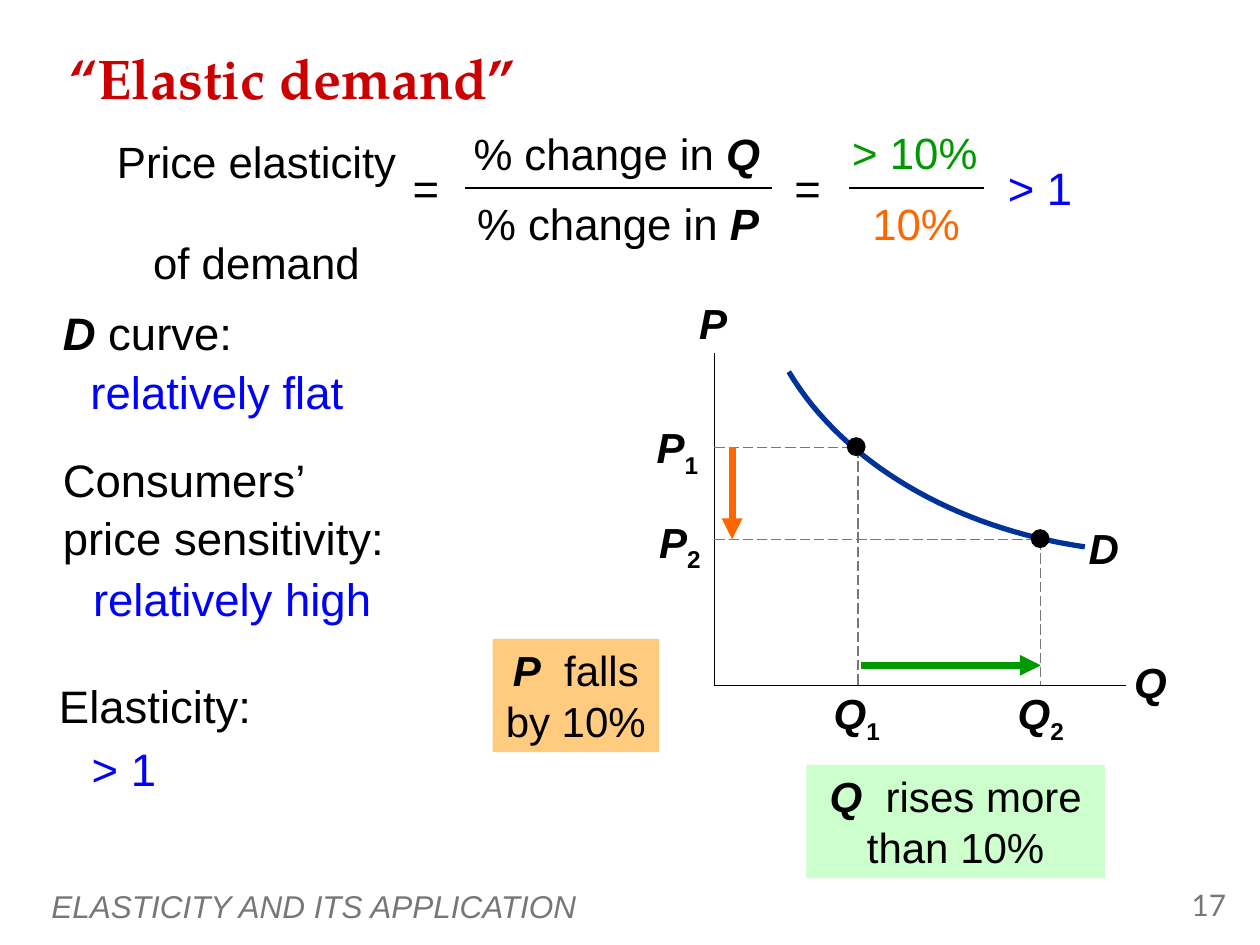
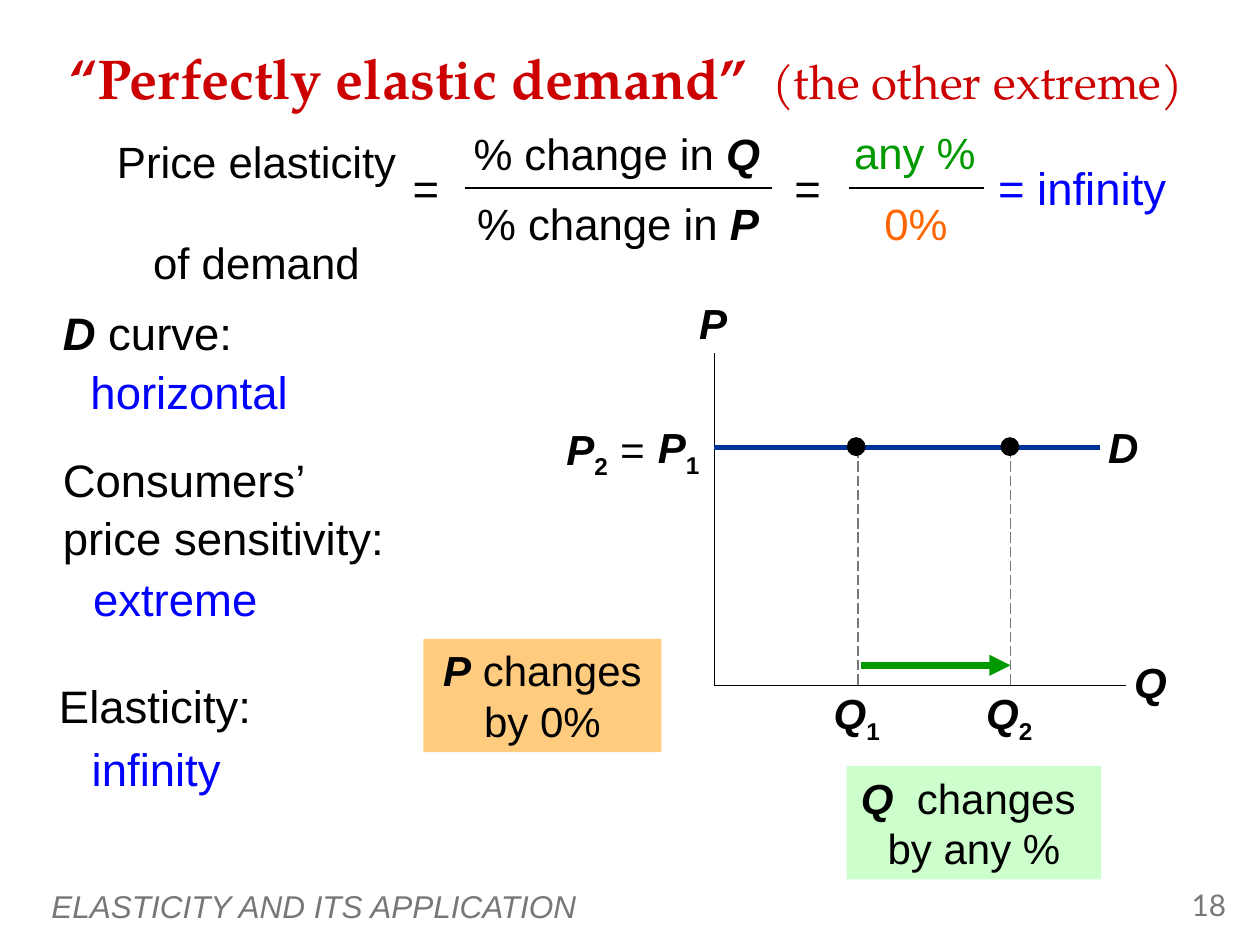
"""Builds two slides on elastic and perfectly elastic demand."""
from lxml import etree
from pptx import Presentation
from pptx.dml.color import RGBColor
from pptx.enum.dml import MSO_LINE
from pptx.enum.shapes import MSO_CONNECTOR, MSO_SHAPE
from pptx.enum.text import MSO_ANCHOR, MSO_AUTO_SIZE, PP_ALIGN
from pptx.oxml.ns import qn
from pptx.util import Inches, Pt

COLORS = {
    "ink": "000000", "title": "CC0000", "muted": "777777", "demand": "003399",
    "price": "FF6600", "quantity": "009900", "answer": "0000FF",
    "price_note": "FF9900", "quantity_note": "CCFFCC",
}
LEFT, CENTER, RIGHT = PP_ALIGN.LEFT, PP_ALIGN.CENTER, PP_ALIGN.RIGHT
WIDE_GAP = "670"


def add_text(slide, box, runs, size, color="ink", align=CENTER, spacing=None,
             font="Arial", anchor=MSO_ANCHOR.TOP, holder=None):
    """Write (text, style, size) runs; styles: b bold, i italic, _ subscript, w wide gap."""
    holder = holder or slide.shapes.add_textbox(*map(Inches, box))
    frame = holder.text_frame
    frame.word_wrap = True
    frame.auto_size = MSO_AUTO_SIZE.NONE
    frame.vertical_anchor = anchor
    paragraph = frame.paragraphs[0]
    paragraph.alignment = align
    paragraph.line_spacing = spacing
    for text, style, *own_size in runs:
        for index, line in enumerate(text.split("\n")):
            if index:
                paragraph.add_line_break()
            run = paragraph.add_run()
            run.text = line
            run.font.name = font
            run.font.size = Pt(own_size[0] if own_size else size)
            run.font.bold = "b" in style
            run.font.italic = "i" in style
            run.font.color.rgb = RGBColor.from_string(COLORS[color])
            if "_" in style:
                run._r.get_or_add_rPr().set("baseline", "-25000")
            if "w" in style:
                run._r.get_or_add_rPr().set("spc", WIDE_GAP)
    return frame


def add_line(slide, start, end, color="ink", width=1, dashed=False, arrow=False):
    """Draw a straight line between two points."""
    line = slide.shapes.add_connector(MSO_CONNECTOR.STRAIGHT, *map(Inches, start + end))
    line.line.color.rgb = RGBColor.from_string(COLORS[color])
    line.line.width = Pt(width)
    if dashed:
        line.line.dash_style = MSO_LINE.LONG_DASH
    if arrow:
        etree.SubElement(line.line._get_or_add_ln(), qn("a:tailEnd"), type="triangle")
    etree.SubElement(line._element.spPr, qn("a:effectLst"))


P, Q, D = ("P", "bi"), ("Q", "bi"), ("D", "bi")
ONE, TWO = ("1", "b_"), ("2", "b_")
AXIS_X, AXIS_Y = 5.67, 5.44
Q1_X, P1_Y, P2_Y = 6.81, 3.55, 4.28

lessons = [
    {
        "number": "17",
        "title": [("“Elastic demand”", "b")],
        "ratio": ("> 10%", "10%"),
        "result": ("> 1", (7.88, 1.22, 0.75, 0.53)),
        "answers": ("relatively flat", "relatively high", "> 1"),
        "price_note": ((3.91, 5.07, 1.32, 0.9), [P, (" ", "w"), ("falls by 10%", "")]),
        "quantity_note": ((6.4, 6.07, 2.37, 0.9), [Q, (" ", "w"), ("rises more than 10%", "")]),
        "labels": [
            ((8.43, 4.1, 0.66, 0.5), [D], CENTER),
            ((4.99, 3.3, 0.65, 0.5), [P, ONE], RIGHT),
            ((4.99, 4.05, 0.67, 0.5), [P, TWO], RIGHT),
            ((7.96, 5.41, 0.6, 0.5), [Q, TWO], CENTER),
        ],
        "curve": [(8.61, 4.34), (7.57, 4.19), (6.69, 3.67), (6.26, 2.95)],
        "second_point": (8.26, P2_Y),
    },
    {
        "number": "18",
        "title": [("“Perfectly elastic demand”", "b"), (" ", "bw", 27),
                  ("(the other extreme)", "", 27)],
        "ratio": ("any %", "0%"),
        "result": ("= infinity", (7.78, 1.22, 1.62, 0.53)),
        "answers": ("horizontal", "extreme", "infinity"),
        "price_note": ((3.36, 5.07, 1.89, 0.9), [P, (" changes by 0%", "")]),
        "quantity_note": ((6.72, 6.08, 2.02, 0.9),
                          [Q, (" ", "w"), ("changes \nby any %", "")]),
        "labels": [
            ((8.59, 3.3, 0.65, 0.5), [D], CENTER),
            ((4.94, 3.3, 0.71, 0.5), [P, ONE], RIGHT),
            ((4.32, 3.31, 0.89, 0.5), [P, TWO, (" =", "i")], RIGHT),
            ((7.69, 5.41, 0.64, 0.5), [Q, TWO], CENTER),
        ],
        "curve": None,
        "second_point": (8.02, P1_Y),
    },
]
shared_labels = [
    ((5.28, 2.31, 0.76, 0.5), [P]),
    ((8.75, 5.16, 0.76, 0.5), [Q]),
    ((6.48, 5.41, 0.64, 0.5), [Q, ONE]),
]
formula = [
    ((3.13, 1.22, 0.5, 0.53), [("=", "")], 26),
    ((6.16, 1.22, 0.5, 0.53), [("=", "")], 26),
    ((3.59, 0.96, 2.61, 0.52), [("% change in ", ""), Q], 25),
    ((3.6, 1.51, 2.61, 0.52), [("% change in ", ""), P], 25),
]
questions = [
    ((0.4, 2.35, 1.63, 0.58), [D, (" curve:", "")]),
    ((0.4, 3.52, 3.71, 1.06), [("Consumers’\nprice sensitivity:", "")]),
    ((0.37, 5.31, 1.77, 0.59), [("Elasticity:", "")]),
]
answer_boxes = [(0.62, 2.82, 3.17, 0.58), (0.64, 4.46, 2.87, 0.54), (0.63, 5.81, 2, 0.59)]

deck = Presentation()
deck.slide_width, deck.slide_height = Inches(10), Inches(7.5)

for lesson in lessons:
    slide = deck.slides.add_slide(deck.slide_layouts[5])
    title = slide.shapes.title
    title.left, title.top, title.width, title.height = map(Inches, (0.45, 0.27, 9.28, 0.68))
    add_text(slide, None, lesson["title"], 32, "title", LEFT, font="TeX Gyre Pagella",
             anchor=MSO_ANCHOR.MIDDLE, holder=title)
    add_text(slide, (0.31, 6.99, 8.02, 0.4), [("ELASTICITY AND ITS APPLICATION", "i")],
             18, "muted", LEFT, anchor=MSO_ANCHOR.MIDDLE)
    add_text(slide, (9.08, 6.99, 0.75, 0.4), [(lesson["number"], "")],
             17, "muted", RIGHT, font="Lato")

    add_line(slide, (AXIS_X, 2.8), (AXIS_X, AXIS_Y))
    add_line(slide, (AXIS_X, AXIS_Y), (8.94, AXIS_Y))
    q2_x, second_y = lesson["second_point"]
    for x, y in ((Q1_X, P1_Y), (q2_x, second_y)):
        add_line(slide, (x, y), (x, AXIS_Y), "muted", 0.75, dashed=True)
        if lesson["curve"]:
            add_line(slide, (AXIS_X, y), (x, y), "muted", 0.75, dashed=True)

    if lesson["curve"]:
        points = []
        for step in range(33):
            t = step / 32
            weights = ((1 - t) ** 3, 3 * t * (1 - t) ** 2, 3 * t ** 2 * (1 - t), t ** 3)
            points.append(tuple(
                Inches(sum(w * control[axis] for w, control in zip(weights, lesson["curve"])))
                for axis in (0, 1)))
        builder = slide.shapes.build_freeform(*points[0])
        builder.add_line_segments(points[1:], close=False)
        demand = builder.convert_to_shape()
        demand.shadow.inherit = False
        demand.fill.background()
        demand.line.color.rgb = RGBColor.from_string(COLORS["demand"])
        demand.line.width = Pt(3)
        add_line(slide, (5.81, P1_Y), (5.81, P2_Y), "price", 4, arrow=True)
    else:
        add_line(slide, (AXIS_X, P1_Y), (8.73, P1_Y), "demand", 3)
    add_line(slide, (6.83, 5.28), (q2_x, 5.28), "quantity", 4, arrow=True)

    for x, y in ((Q1_X - 0.01, P1_Y), (q2_x, second_y)):
        dot = slide.shapes.add_shape(MSO_SHAPE.OVAL, Inches(x - 0.08), Inches(y - 0.08),
                                     Inches(0.15), Inches(0.15))
        dot.shadow.inherit = False
        dot.fill.solid()
        dot.fill.fore_color.rgb = RGBColor.from_string(COLORS["ink"])
        dot.line.fill.background()

    for box, runs in shared_labels:
        add_text(slide, box, runs, 24)
    for box, runs, align in lesson["labels"]:
        add_text(slide, box, runs, 24, align=align)

    for note_color in ("price_note", "quantity_note"):
        box, runs = lesson[note_color]
        note = slide.shapes.add_shape(MSO_SHAPE.RECTANGLE, *map(Inches, box))
        note.shadow.inherit = False
        note.fill.solid()
        note.fill.fore_color.rgb = RGBColor.from_string(COLORS[note_color])
        note.line.fill.background()
        if note_color == "price_note":
            tint = note._element.spPr.find(qn("a:solidFill"))[0]
            etree.SubElement(tint, qn("a:alpha"), val="50000")
        add_text(slide, box, runs, 24, holder=note)

    elasticity = add_text(slide, (0.79, 1.05, 2.49, 0.89), [("Price elasticity", "")],
                          25, spacing=0.95)
    of_demand = elasticity.add_paragraph()
    of_demand.alignment = CENTER
    of_demand.line_spacing = 0.95
    of_demand.space_before = Pt(29.5)
    wording = of_demand.add_run()
    wording.text = "of demand"
    wording.font.name = "Arial"
    wording.font.size = Pt(25)
    wording.font.color.rgb = RGBColor.from_string(COLORS["ink"])
    for box, runs, size in formula:
        add_text(slide, box, runs, size)
    for start_x, end_x in ((3.69, 6.13), (6.74, 7.81)):
        add_line(slide, (start_x, 1.49), (end_x, 1.49))
    numerator, denominator = lesson["ratio"]
    add_text(slide, (6.62, 0.95, 1.28, 0.52), [(numerator, "")], 25, "quantity")
    add_text(slide, (6.63, 1.51, 1.28, 0.52), [(denominator, "")], 25, "price")
    result, result_box = lesson["result"]
    add_text(slide, result_box, [(result, "")], 26, "answer")

    for box, runs in questions:
        add_text(slide, box, runs, 26, align=LEFT, spacing=1.05)
    for box, answer in zip(answer_boxes, lesson["answers"]):
        add_text(slide, box, [(answer, "")], 26, "answer", LEFT, 1.05)

deck.save("out.pptx")
